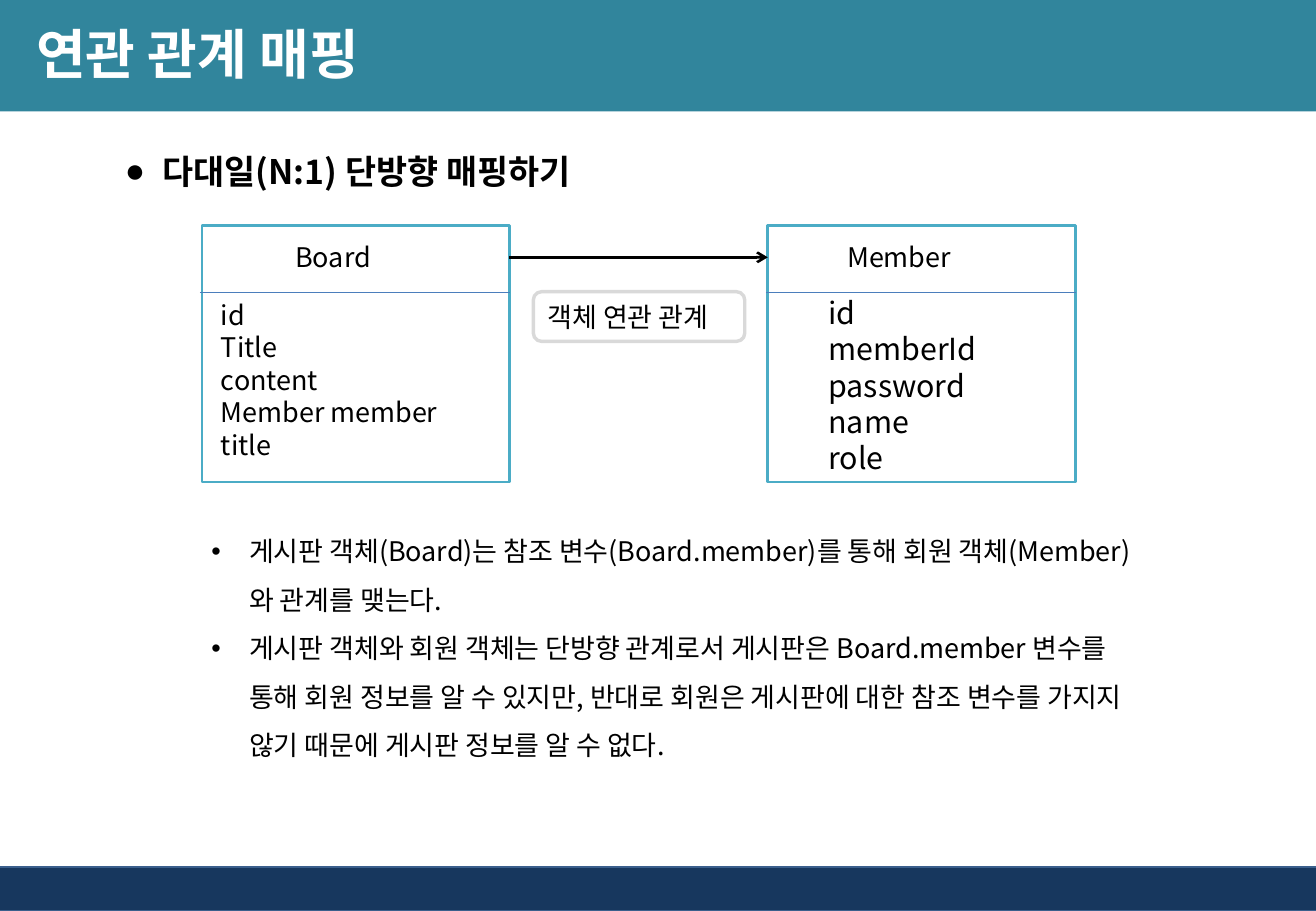
from dataclasses import dataclass

from lxml import etree
from pptx import Presentation
from pptx import util as u
from pptx.dml.color import RGBColor
from pptx.enum import shapes, text
from pptx.oxml import ns

FONT = "Noto Sans CJK KR"
BLACK, WHITE = "000000", "FFFFFF"


@dataclass
class Area:
    left: float
    top: float
    width: float
    height: float

    def cm(self) -> list:
        return [u.Cm(v) for v in (self.left, self.top, self.width, self.height)]


@dataclass
class Style:
    size: int = 16
    color: str = BLACK
    bold: bool = False
    bullet: str = ""
    spacing: float = 1.0
    align: text.PP_ALIGN = text.PP_ALIGN.LEFT


@dataclass
class Entity:
    name: str
    left: float
    fields: list[str]
    list_area: Area
    size: int


def rgb(code: str) -> RGBColor:
    return RGBColor.from_string(code)


def sub(parent, tag: str, **attrs: str):
    return etree.SubElement(parent, ns.qn(tag), attrs)


def write(frame, lines: list[str], style: Style) -> None:
    frame.word_wrap = True
    for i, line in enumerate(lines):
        para = frame.add_paragraph() if i else frame.paragraphs[0]
        para.text = line
        para.alignment = style.align
        para.line_spacing = style.spacing
        props = para._p.get_or_add_pPr()
        if style.bullet:
            indent = u.Cm(0.79)
            props.set("marL", str(indent))
            props.set("indent", str(-indent))
            sub(props, "a:buFont", typeface="Arial")
            sub(props, "a:buChar", char=style.bullet)
        font = para.font
        font.name, font.size, font.bold = FONT, u.Pt(style.size), style.bold
        font.color.rgb = rgb(style.color)
        sub(props.find(ns.qn("a:defRPr")), "a:ea", typeface=FONT)


def label(slide, area: Area, lines: list[str], style: Style):
    frame = slide.shapes.add_textbox(*area.cm()).text_frame
    write(frame, lines, style)
    return frame


def box(slide, area: Area, fill: str, line: str = "", width: float = 1,
        kind=shapes.MSO_SHAPE.RECTANGLE):
    shape = slide.shapes.add_shape(kind, *area.cm())
    shape.shadow.inherit = False
    shape.fill.solid()
    shape.fill.fore_color.rgb = rgb(fill)
    if line:
        shape.line.color.rgb = rgb(line)
        shape.line.width = u.Pt(width)
    else:
        shape.line.fill.background()
    return shape


def rule(slide, start: float, end: float, y: float, color: str,
         width: float, arrow: bool = False) -> None:
    line = slide.shapes.add_connector(
        shapes.MSO_CONNECTOR.STRAIGHT, u.Cm(start), u.Cm(y), u.Cm(end), u.Cm(y))
    line.line.color.rgb = rgb(color)
    line.line.width = u.Pt(width)
    if arrow:
        sub(line.line._get_or_add_ln(), "a:tailEnd", type="arrow")
    sub(line._element.spPr, "a:effectLst")


def draw_entity(slide, item: Entity) -> None:
    box(slide, Area(item.left, 4.72, 6.43, 5.36), WHITE, "4BACC6", 1.5)
    rule(slide, item.left - 0.04, item.left + 6.44, 6.12, "4B7EBC", 0.75)
    label(slide, Area(item.left + 0.8, 4.9, 3.89, 0.94), [item.name],
          Style(align=text.PP_ALIGN.CENTER))
    label(slide, item.list_area, item.fields, Style(item.size))


ENTITIES = [
    Entity("Board", 4.22, ["id", "Title", "content", "Member member", "title"],
           Area(4.37, 6.12, 6.17, 3.76), 16),
    Entity("Member", 16.05, ["id", "memberId", "password", "name", "role"],
           Area(17.07, 6.02, 5.05, 4.11), 18),
]
NOTES = [
    "게시판 객체(Board)는 참조 변수(Board.member)를 통해 회원 객체(Member)와 관계를 맺는다.",
    "게시판 객체와 회원 객체는 단방향 관계로서 게시판은 Board.member 변수를 통해 "
    "회원 정보를 알 수 있지만, 반대로 회원은 게시판에 대한 참조 변수를 가지지 "
    "않기 때문에 게시판 정보를 알 수 없다.",
]


def main() -> None:
    deck = Presentation()
    deck.slide_width, deck.slide_height = u.Cm(27.51), u.Cm(19.05)
    slide = deck.slides.add_slide(deck.slide_layouts[6])

    # Bands, title and heading
    box(slide, Area(-0.1, 18.13, 27.63, 0.92), "17375E", "3A5F8C")
    box(slide, Area(0, 0, 27.51, 2.33), "31859C")
    title = label(slide, Area(0, -0.08, 22.2, 2.39), ["연관 관계 매핑"],
                  Style(32, WHITE, True))
    title.margin_left = u.Cm(0.76)
    title.vertical_anchor = text.MSO_ANCHOR.MIDDLE
    label(slide, Area(2.36, 3.02, 11, 1.12), ["다대일(N:1) 단방향 매핑하기"],
          Style(20, bold=True, bullet="●"))

    # Entities and their relation
    for item in ENTITIES:
        draw_entity(slide, item)
    rule(slide, 10.65, 16.05, 5.38, BLACK, 1.5, arrow=True)
    tag = box(slide, Area(11.15, 6.1, 4.42, 1.04), WHITE, "D9D9D9", 2,
              shapes.MSO_SHAPE.ROUNDED_RECTANGLE)
    tag.text_frame.vertical_anchor = text.MSO_ANCHOR.MIDDLE
    write(tag.text_frame, ["객체 연관 관계"], Style())

    # Explanation
    label(slide, Area(4.17, 10.72, 20.19, 5.38), NOTES,
          Style(bullet="•", spacing=1.5))

    deck.save("out.pptx")


if __name__ == "__main__":
    main()
